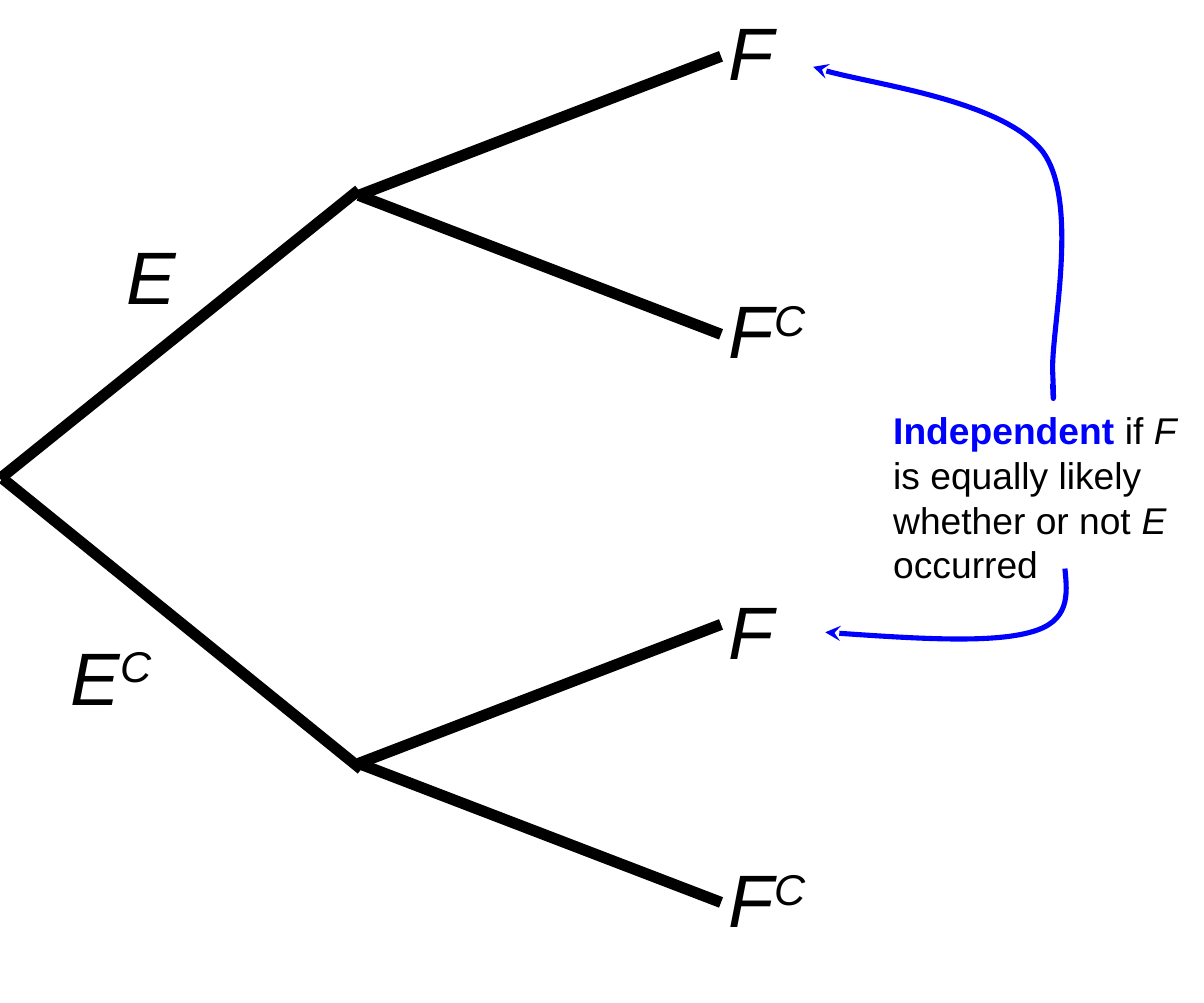
from pptx import Presentation
from pptx.dml.color import RGBColor
from pptx.enum.shapes import MSO_CONNECTOR
from pptx.enum.text import MSO_AUTO_SIZE
from pptx.oxml.ns import qn
from pptx.util import Cm, Pt
from lxml.etree import SubElement

BLACK = "000000"
BLUE = "0000FF"
OUTCOME_X = 13.59
NODE_X = 6.81
BRANCH_END_X = 13.69
BRANCH_RISE = 2.64

ARROW_TO_LOWER_F = [
    (20.22, 10.8),
    (20.27, 11.3), (20.32, 11.81), (19.56, 12.01),
    (18.8, 12.22), (17.22, 12.12), (15.67, 12.01),
]
ARROW_TO_UPPER_F = [
    (19.99, 7.29),
    (19.99, 7.57), (20.02, 7.82), (19.99, 7.09),
    (19.94, 6.35), (20.52, 3.84), (19.79, 2.87),
    (19.02, 1.91), (16.18, 1.55), (15.44, 1.27),
]


def color(hex_code):
    return RGBColor.from_string(hex_code)


def add_text(slide, left, top, width, height):
    box = slide.shapes.add_textbox(Cm(left), Cm(top), Cm(width), Cm(height))
    frame = box.text_frame
    frame.word_wrap = True
    frame.auto_size = MSO_AUTO_SIZE.SHAPE_TO_FIT_TEXT
    return frame.paragraphs[0]


def add_run(paragraph, words, size, hex_code=BLACK, bold=False, italic=False):
    run = paragraph.add_run()
    run.text = words
    run.font.name = "Arial"
    run.font.size = Pt(size)
    run.font.bold = bold
    run.font.italic = italic
    run.font.color.rgb = color(hex_code)
    return run


def add_event(slide, left, top, event, complement=False):
    paragraph = add_text(slide, left, top, 3.43, 1.96)
    add_run(paragraph, event, 40, italic=True)
    if complement:
        superscript = add_run(paragraph, "C", 40, italic=True)
        superscript.font._element.set("baseline", "30000")


def add_branch(slide, start, end):
    branch = slide.shapes.add_connector(
        MSO_CONNECTOR.STRAIGHT, *(Cm(value) for value in (*start, *end))
    )
    branch.line.color.rgb = color(BLACK)
    branch.line.width = Pt(6)
    SubElement(branch._element.spPr, qn("a:effectLst"))


def add_fork(slide, node_y):
    for rise in (-BRANCH_RISE, BRANCH_RISE):
        add_branch(slide, (NODE_X, node_y), (BRANCH_END_X, node_y + rise))


def add_curved_arrow(slide, points):
    start, *controls = [(Cm(x), Cm(y)) for x, y in points]
    builder = slide.shapes.build_freeform(*start)
    builder.add_line_segments(controls, close=False)
    arrow = builder.convert_to_shape()
    arrow.shadow.inherit = False
    arrow.fill.background()
    arrow.line.color.rgb = color(BLUE)
    arrow.line.width = Pt(2.75)
    SubElement(arrow.line._get_or_add_ln(), qn("a:tailEnd"), type="stealth")

    outline = next(arrow._element.iter(qn("a:path")))
    segments = outline.findall(qn("a:lnTo"))
    for first in range(0, len(segments), 3):
        bezier = SubElement(outline, qn("a:cubicBezTo"))
        for segment in segments[first:first + 3]:
            bezier.append(segment[0])
            outline.remove(segment)


def add_definition(slide):
    paragraph = add_text(slide, 16.71, 7.62, 6.15, 3.66)
    add_run(paragraph, "Independent", 20, BLUE, bold=True)
    add_run(paragraph, " if ", 20)
    add_run(paragraph, "F", 20, italic=True)
    add_run(paragraph, " is equally likely whether or not ", 20)
    add_run(paragraph, "E ", 20, italic=True)
    add_run(paragraph, "occurred", 20)


def main():
    deck = Presentation()
    deck.slide_width = Cm(22.86)
    deck.slide_height = Cm(19.05)
    slide = deck.slides.add_slide(deck.slide_layouts[6])

    add_event(slide, 2.16, 4.24, "E")
    add_event(slide, 1.09, 11.86, "E", complement=True)
    for top, complement in ((0, False), (5.28, True), (11, False), (16.08, True)):
        add_event(slide, OUTCOME_X, top, "F", complement)

    add_branch(slide, (0, 9.09), (NODE_X, 3.61))
    add_branch(slide, (0.05, 9.09), (6.86, 14.61))
    for node_y in (3.71, 14.5):
        add_fork(slide, node_y)

    add_definition(slide)
    add_curved_arrow(slide, ARROW_TO_LOWER_F)
    add_curved_arrow(slide, ARROW_TO_UPPER_F)
    deck.save("out.pptx")


if __name__ == "__main__":
    main()
